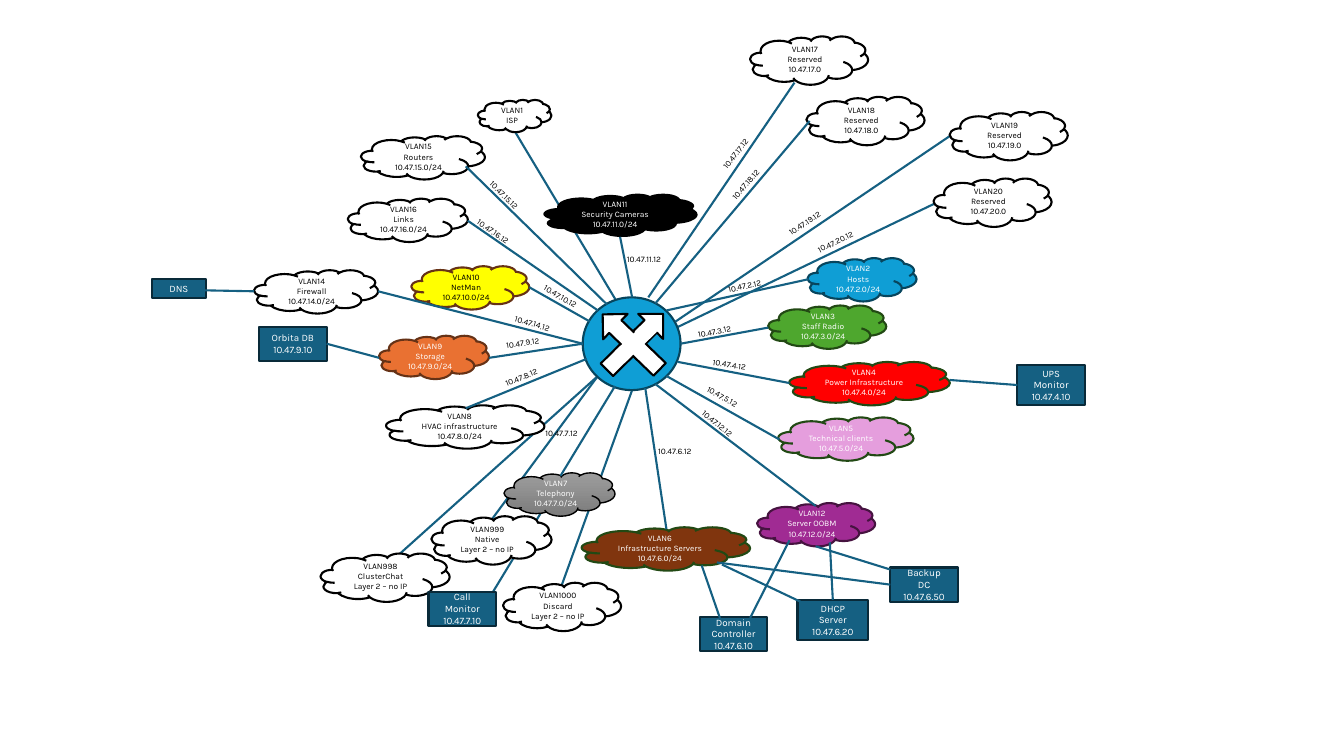
from lxml import etree
from pptx import Presentation
from pptx.dml.color import RGBColor
from pptx.enum.shapes import MSO_CONNECTOR, MSO_SHAPE
from pptx.enum.text import MSO_ANCHOR, PP_ALIGN
from pptx.oxml.ns import qn
from pptx.util import Inches, Pt

LINE = MSO_CONNECTOR.STRAIGHT
CLOUD, RECTANGLE = MSO_SHAPE.CLOUD, MSO_SHAPE.RECTANGLE
OVAL, ARROW = MSO_SHAPE.OVAL, MSO_SHAPE.RIGHT_ARROW
MIDDLE, CENTER, LEFT = MSO_ANCHOR.MIDDLE, PP_ALIGN.CENTER, PP_ALIGN.LEFT

FONT = "Karla"
COLORS = {
    "white": "FFFFFF", "black": "000000", "teal": "156082", "dark teal": "092A39",
    "blue": "0F9ED5", "dark blue": "07455D", "green": "4EA72E", "dark green": "224914",
    "red": "FF0000", "pink": "E59EDD", "brown": "80350E", "purple": "A02B93",
    "dark purple": "461340", "orange": "E97132", "dark orange": "663216",
    "yellow": "FFFF00", "light gray": "9D9D9D", "gray": "7C7C7C",
}

# The page is a grid of 1333 columns by 750 rows
COLUMNS, ROWS = 1333, 750
WIDTH, HEIGHT = Inches(13.33), Inches(7.5)

HUB = (578, 295, 97, 92)
# Shape, share of the hub box (left, top, width, height), rotation, outline
HUB_PARTS = [
    (ARROW, (0.13, 0.29, 0.81, 0.38), 315.2, "black"),
    (ARROW, (0.09, 0.29, 0.81, 0.38), 224, "black"),
    (RECTANGLE, (0.32, 0.41, 0.44, 0.14), 316.3, "white"),
]

# VLAN number, name, address, box, fill, outline, text colour
PLAIN = ("white", "black", "black")
CLOUDS = [
    (2, "Hosts", "10.47.2.0/24", (801, 256, 108, 43), "blue", "dark blue", "white"),
    (3, "Staff Radio", "10.47.3.0/24", (762, 303, 117, 43), "green", "dark green", "white"),
    (4, "Power Infrastructure", "10.47.4.0/24", (783, 359, 159, 43), "red", "dark green", "white"),
    (5, "Technical clients", "10.47.5.0/24", (772, 414, 134, 43), "pink", "dark green", "white"),
    (6, "Infrastructure Servers", "10.47.6.0/24", (577, 523, 167, 43), "brown", "dark green", "white"),
    (12, "Server OOBM", "10.47.12.0/24", (751, 499, 117, 43), "purple", "dark purple", "white"),
    (7, "Telephony", "10.47.7.0/24", (500, 469, 110, 43), "gradient", "black", "white"),
    (8, "HVAC infrastructure", "10.47.8.0/24", (383, 402, 157, 43), *PLAIN),
    (9, "Storage", "10.47.9.0/24", (376, 333, 109, 43), "orange", "dark orange", "white"),
    (10, "NetMan", "10.47.10.0/24", (408, 264, 117, 43), "yellow", "dark orange", "black"),
    (11, "Security Cameras", "10.47.11.0/24", (539, 192, 153, 43), "black", None, "white"),
    (14, "Firewall", "10.47.14.0/24", (252, 268, 123, 43), *PLAIN),
    (15, "Routers", "10.47.15.0/24", (358, 135, 123, 43), *PLAIN),
    (16, "Links", "10.47.16.0/24", (345, 197, 119, 43), *PLAIN),
    (998, "ClusterChat", "Layer 2 – no IP", (318, 549, 128, 48), *PLAIN),
    (1000, "Discard", "Layer 2 – no IP", (499, 578, 117, 48), *PLAIN),
    (999, "Native", "Layer 2 – no IP", (428, 512, 119, 48), *PLAIN),
    (17, "Reserved", "10.47.17.0", (744, 36, 117, 48), *PLAIN),
    (18, "Reserved", "10.47.18.0", (800, 96, 117, 48), *PLAIN),
    (19, "Reserved", "10.47.19.0", (942, 111, 117, 48), *PLAIN),
    (20, "Reserved", "10.47.20.0", (926, 177, 117, 48), *PLAIN),
    (1, "ISP", None, (474, 99, 73, 32), *PLAIN),
]

SERVERS = [
    (["Domain Controller", "10.47.6.10"], (694, 612, 67, 34)),
    (["DHCP Server 10.47.6.20"], (791, 595, 70, 40)),
    (["Backup DC", "10.47.6.50"], (883, 563, 67, 34)),
    (["Orbita DB", "10.47.9.10"], (257, 324, 67, 34)),
    (["UPS Monitor", "10.47.4.10"], (1009, 362, 67, 40)),
    (["DNS"], (151, 277, 53, 19)),
    (["Call Monitor", "10.47.7.10"], (425, 587, 67, 34)),
]

# Links as from column, from row, to column, to row
BACK_LINKS = [
    (483, 597, 537, 508), (927, 202, 671, 325), (942, 135, 670, 319),
    (511, 131, 611, 298), (488, 515, 593, 373), (557, 581, 627, 387),
    (397, 549, 593, 373),
]
HUB_LINKS = [
    (802, 277, 661, 308), (762, 325, 675, 341), (783, 380, 672, 359),
    (773, 436, 661, 373), (809, 502, 650, 381), (661, 525, 640, 385),
    (556, 472, 610, 383), (462, 405, 582, 356), (485, 355, 578, 341),
    (525, 285, 585, 319), (615, 235, 627, 295), (464, 219, 593, 308),
    (462, 165, 602, 302), (788, 82, 643, 295), (803, 120, 650, 301),
    (375, 289, 578, 341),
]
SERVER_LINKS = [
    (696, 561, 714, 613), (783, 536, 744, 613), (716, 560, 794, 597),
    (823, 538, 826, 595), (711, 558, 883, 580), (809, 542, 883, 565),
    (324, 341, 376, 355), (201, 288, 252, 289), (942, 377, 1009, 382),
]

# VLAN number, left, top, rotation of each hub address
ADDRESSES = [
    (11, 612, 247, 0), (2, 712, 272, 348.6), (3, 682, 317, 348.5),
    (4, 697, 353, 8.7), (5, 689, 388, 29.4), (12, 682, 415, 39.1),
    (6, 643, 438, 0), (7, 531, 420, 0), (8, 490, 361, 338.7),
    (9, 492, 329, 352), (10, 527, 288, 30.8), (16, 460, 224, 34.3),
    (15, 470, 189, 45.1), (17, 699, 136, 308.4), (18, 709, 167, 311),
    (19, 769, 207, 326.5), (20, 799, 227, 334.1), (14, 500, 313, 16.5),
]


def color(name):
    return RGBColor.from_string(COLORS[name])


def on_grid(cells):
    """Turn alternating columns and rows into slide lengths."""
    return [round(cell * (HEIGHT / ROWS if i % 2 else WIDTH / COLUMNS))
            for i, cell in enumerate(cells)]


def write(shape, lines, size, ink, align=CENTER):
    frame = shape.text_frame
    frame.word_wrap = True
    frame.text = "\n".join(lines)
    for para in frame.paragraphs:
        para.alignment = align
        for span in para.runs:
            span.font.name, span.font.size = FONT, Pt(size)
            span.font.color.rgb = color(ink)


def draw_shape(page, kind, box, fill, outline, weight=1.5):
    shape = page.shapes.add_shape(kind, *on_grid(box))
    shape.shadow.inherit = False
    if fill == "gradient":
        shape.fill.gradient()
        shape.fill.gradient_angle = 270
        for stop, shade in zip(shape.fill.gradient_stops, ("light gray", "gray")):
            stop.color.rgb = color(shade)
    else:
        shape.fill.solid()
        shape.fill.fore_color.rgb = color(fill)
    if outline:
        shape.line.color.rgb = color(outline)
        shape.line.width = Pt(weight)
    else:
        shape.line.fill.background()
    shape.text_frame.vertical_anchor = MIDDLE
    return shape


def draw_links(page, links):
    for link in links:
        line = page.shapes.add_connector(LINE, *on_grid(link))
        line.line.color.rgb = color("teal")
        line.line.width = Pt(1.5)
        etree.SubElement(line._element.spPr, qn("a:effectLst"))


def draw_hub(page, box):
    left, top, width, height = box
    draw_shape(page, OVAL, box, "blue", "dark blue")
    for kind, (x, y, w, h), rotation, outline in HUB_PARTS:
        part_box = (left + x * width, top + y * height, w * width, h * height)
        draw_shape(page, kind, part_box, "white", outline).rotation = rotation


def draw_cloud(page, box, number, name, address, fill, outline, ink):
    weight = 1 if fill == "gradient" else 1.5
    cloud = draw_shape(page, CLOUD, box, fill, outline, weight)
    write(cloud, [line for line in (f"VLAN{number}", name, address) if line], 6, ink)


def draw_server(page, box, lines):
    write(draw_shape(page, RECTANGLE, box, "teal", "dark teal"), lines, 7, "white")


def draw_address(page, box, number, rotation):
    label = page.shapes.add_textbox(*on_grid(box))
    label.rotation = rotation
    write(label, [f"10.47.{number}.12"], 6, "black", LEFT)


def main():
    deck = Presentation()
    deck.slide_width, deck.slide_height = WIDTH, HEIGHT
    page = deck.slides.add_slide(deck.slide_layouts[6])
    # Links that run behind the clouds, then the hub
    draw_links(page, BACK_LINKS)
    draw_hub(page, HUB)
    # Networks and servers
    for number, name, address, box, fill, outline, ink in CLOUDS:
        draw_cloud(page, box, number, name, address, fill, outline, ink)
    for lines, box in SERVERS:
        draw_server(page, box, lines)
    # Links in front, with the hub's address on each network
    draw_links(page, HUB_LINKS + SERVER_LINKS)
    for number, left, top, rotation in ADDRESSES:
        draw_address(page, (left, top, 71, 20), number, rotation)
    deck.save("out.pptx")


if __name__ == "__main__":
    main()
